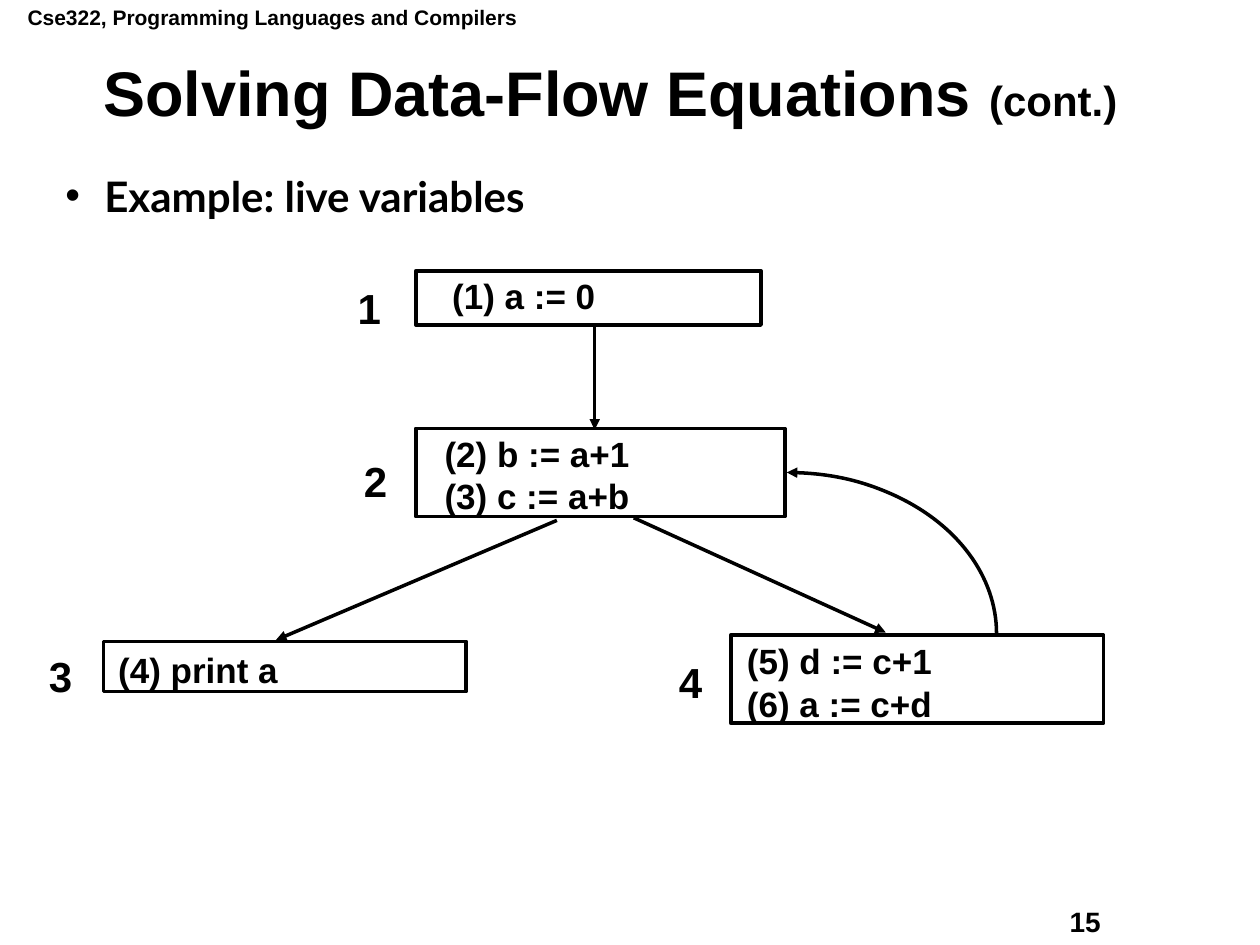
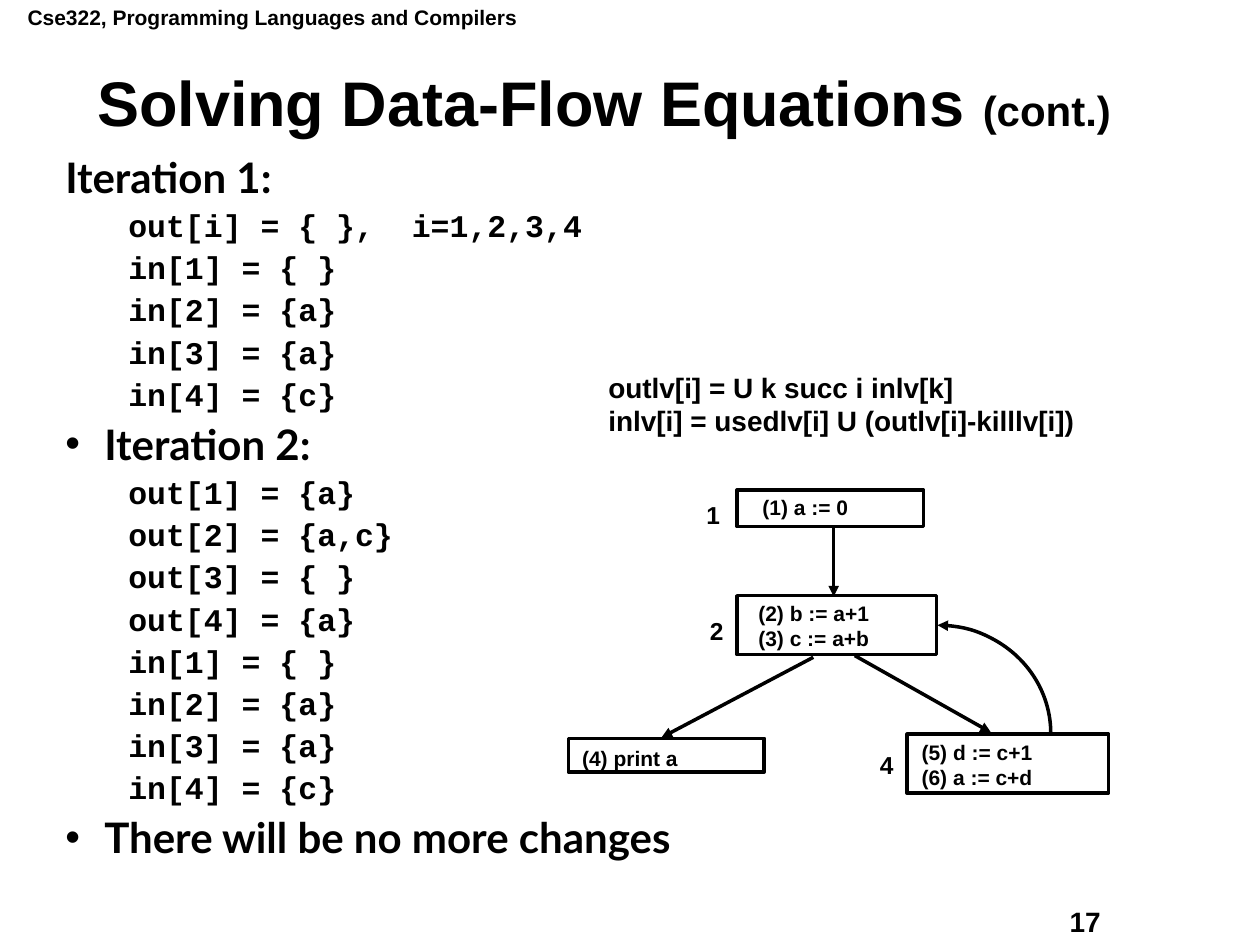
from dataclasses import dataclass
from typing import NamedTuple

from lxml import etree
from pptx import Presentation
from pptx import util as u
from pptx.dml.color import RGBColor
from pptx.enum import shapes, text
from pptx.oxml.ns import qn

COLORS = {"ink": "000000", "paper": "FFFFFF"}
HEADING_FONT, BODY_FONT, CODE_FONT = "Arial", "Lato", "Courier New"
COURSE = "Cse322, Programming Languages and Compilers"


class Box(NamedTuple):
    left: float
    top: float
    width: float
    height: float

    def inches(self) -> list[int]:
        return [u.Inches(value) for value in self]


@dataclass(frozen=True)
class LineStyle:
    size: float
    font: str = HEADING_FONT
    margin: float = 0
    indent: float = 0
    spacing: float = 1
    before: float = 0
    bullet: bool = False


HEADING = LineStyle(24, BODY_FONT, 0.31, -0.31, 0.8, 9)
BULLET = LineStyle(24, BODY_FONT, 0.31, -0.31, 0.8, 9, bullet=True)
CODE = LineStyle(18, CODE_FONT, 0.75, -0.25, 0.8, 6.8)


class Block(NamedTuple):
    """A basic block: its rectangle, and the place and width in ems of its code."""
    box: Box
    code_at: tuple[float, float]
    ems: float
    code: list[str]


class BlockNumber(NamedTuple):
    number: str
    left: float
    top: float


class Edge(NamedTuple):
    x1: float
    y1: float
    x2: float
    y2: float


# Flow graph, in the coordinates of the large version
BLOCKS = [
    Block(Box(3.3, 2.15, 2.74, 0.43), (3.49, 2.13), 4.1, ["(1) a := 0"]),
    Block(Box(0.82, 5.09, 2.88, 0.4), (0.84, 5.1), 4.57, ["(4) print a"]),
    Block(Box(5.8, 5.04, 2.96, 0.7), (5.83, 5.03), 5.29,
          ["(5) d := c+1", "(6) a := c+d"]),
    Block(Box(3.3, 3.4, 2.93, 0.7), (3.43, 3.38), 5.29,
          ["(2) b := a+1", "(3) c := a+b"]),
]
EDGES = [Edge(4.72, 2.59, 4.72, 3.41), Edge(4.42, 4.13, 2.19, 5.08),
         Edge(5.03, 4.11, 7.03, 5.02)]
LOOP_BACK = Box(4.58, 3.75, 3.33, 2.56)
NUMBERS = [BlockNumber("1", 2.74, 2.19), BlockNumber("2", 2.79, 3.57),
           BlockNumber("4", 5.29, 5.16)]
PRINT_NUMBER = BlockNumber("3", 0.29, 5.11)


@dataclass(frozen=True)
class GraphView:
    """Where the first block goes, and how the graph is scaled from there."""
    left: float = 3.3
    top: float = 2.15
    scale_x: float = 1
    scale_y: float = 1
    code_size: float = 20
    number_size: float = 24
    number_shift: float = 0

    def point(self, x: float, y: float) -> tuple[float, float]:
        return (self.left + (x - 3.3) * self.scale_x,
                self.top + (y - 2.15) * self.scale_y)

    def box(self, box: Box) -> Box:
        return Box(*self.point(box.left, box.top),
                   box.width * self.scale_x, box.height * self.scale_y)


def color(name: str) -> RGBColor:
    return RGBColor.from_string(COLORS[name])


# Text
def add_run(paragraph, words: str, size: float, font: str = HEADING_FONT) -> None:
    run = paragraph.add_run()
    run.text = words
    run.font.size, run.font.name, run.font.bold = u.Pt(size), font, True
    run.font.color.rgb = color("ink")


def format_line(paragraph, style: LineStyle, first: bool) -> None:
    props = paragraph._p.get_or_add_pPr()
    props.set("marL", str(u.Inches(style.margin)))
    props.set("indent", str(u.Inches(style.indent)))
    if style.bullet:
        tint = etree.SubElement(props, qn("a:buClr"))
        etree.SubElement(tint, qn("a:srgbClr"), val=COLORS["ink"])
        etree.SubElement(props, qn("a:buFont"), typeface=HEADING_FONT)
        etree.SubElement(props, qn("a:buChar"), char="•")
    paragraph.line_spacing = style.spacing
    if style.before and not first:
        paragraph.space_before = u.Pt(style.before)


def add_text(slide, box: Box, lines: list[tuple[str, LineStyle]], *,
             wrap: bool = False, align=text.PP_ALIGN.LEFT,
             anchor=text.MSO_ANCHOR.TOP):
    frame = slide.shapes.add_textbox(*box.inches()).text_frame
    frame.word_wrap, frame.vertical_anchor = wrap, anchor
    for index, (words, style) in enumerate(lines):
        paragraph = frame.add_paragraph() if index else frame.paragraphs[0]
        format_line(paragraph, style, first=not index)
        paragraph.alignment = align
        add_run(paragraph, words, style.size, style.font)
    return frame


def add_fitted(slide, left: float, top: float, words: list[str],
               size: float, ems: float) -> None:
    box = Box(left, top, ems * size / 72 + 0.2, len(words) * size / 60 + 0.1)
    add_text(slide, box, [(line, LineStyle(size)) for line in words])


# Lines and blocks
def ink_line(shape, arrow_end: str = "") -> None:
    shape.line.color.rgb = color("ink")
    shape.line.width = u.Pt(2)
    if arrow_end:
        etree.SubElement(shape.line._get_or_add_ln(), qn(f"a:{arrow_end}"),
                         type="triangle")


def add_edge(slide, view: GraphView, edge: Edge) -> None:
    ends = view.point(edge.x1, edge.y1) + view.point(edge.x2, edge.y2)
    arrow = slide.shapes.add_connector(shapes.MSO_CONNECTOR.STRAIGHT,
                                       *[u.Inches(value) for value in ends])
    ink_line(arrow, "tailEnd")
    etree.SubElement(arrow._element.spPr, qn("a:effectLst"))


def add_number(slide, view: GraphView, label: BlockNumber) -> None:
    left, top = view.point(label.left, label.top)
    add_fitted(slide, left + view.number_shift, top, [label.number],
               view.number_size, 0.54)


def add_flow_graph(slide, view: GraphView) -> None:
    for block in BLOCKS:
        outline = slide.shapes.add_shape(shapes.MSO_SHAPE.RECTANGLE,
                                         *view.box(block.box).inches())
        outline.shadow.inherit = False
        outline.fill.solid()
        outline.fill.fore_color.rgb = color("paper")
        ink_line(outline)
    for block in BLOCKS:
        add_fitted(slide, *view.point(*block.code_at), block.code,
                   view.code_size, block.ems)
    for edge in EDGES:
        add_edge(slide, view, edge)
    # Quarter ellipse from block 4 back to block 2
    loop = slide.shapes.add_shape(shapes.MSO_SHAPE.ARC,
                                  *view.box(LOOP_BACK).inches())
    loop.shadow.inherit = False
    loop.fill.background()
    ink_line(loop, "headEnd")
    for label in NUMBERS:
        add_number(slide, view, label)


# Parts every slide shares
def add_page(deck, number: int, title_left: float, title_top: float):
    slide = deck.slides.add_slide(deck.slide_layouts[6])
    add_text(slide, Box(0.12, -0.01, 4.09, 0.3), [(COURSE, LineStyle(12))])
    add_text(slide, Box(8.39, 7.13, 1.27, 0.36), [(str(number), LineStyle(16))])
    title = add_text(slide, Box(title_left, title_top, 9.03, 0.56),
                     [("Solving Data-Flow Equations ", LineStyle(36, spacing=0.9))],
                     wrap=True, align=text.PP_ALIGN.CENTER,
                     anchor=text.MSO_ANCHOR.MIDDLE)
    add_run(title.paragraphs[0], "(cont.)", 24)
    return slide


def add_example(deck) -> None:
    slide = add_page(deck, 15, 0.33, 0.48)
    add_text(slide, Box(0.42, 1.38, 8.59, 0.44),
             [("Example: live variables", BULLET)], wrap=True)
    view = GraphView()
    add_number(slide, view, PRINT_NUMBER)
    add_flow_graph(slide, view)


def add_iterations(deck) -> None:
    slide = add_page(deck, 17, 0.28, 0.56)
    in_sets = ["in[1] = { }", "in[2] = {a}", "in[3] = {a}", "in[4] = {c}"]
    first = ["out[i] = { },  i=1,2,3,4", *in_sets]
    second = ["out[1] = {a}", "out[2] = {a,c}", "out[3] = { }", "out[4] = {a}",
              *in_sets]
    add_text(slide, Box(0.42, 1.23, 8.33, 5.79),
             [("Iteration 1:", HEADING), *[(line, CODE) for line in first],
              ("Iteration 2:", BULLET), *[(line, CODE) for line in second],
              ("There will be no more changes", BULLET)], wrap=True)
    equations = ["outlv[i] = U k succ i inlv[k]",
                 "inlv[i] = usedlv[i] U (outlv[i]-killlv[i])"]
    add_text(slide, Box(4.73, 2.89, 4.97, 0.64),
             [(line, LineStyle(16)) for line in equations], wrap=True)
    add_flow_graph(slide, GraphView(5.85, 3.89, 0.54, 0.67, code_size=12,
                                    number_size=14, number_shift=-0.04))


def main() -> None:
    deck = Presentation()
    deck.slide_width, deck.slide_height = u.Inches(10), u.Inches(7.5)
    add_example(deck)
    add_iterations(deck)
    deck.save("out.pptx")


if __name__ == "__main__":
    main()
